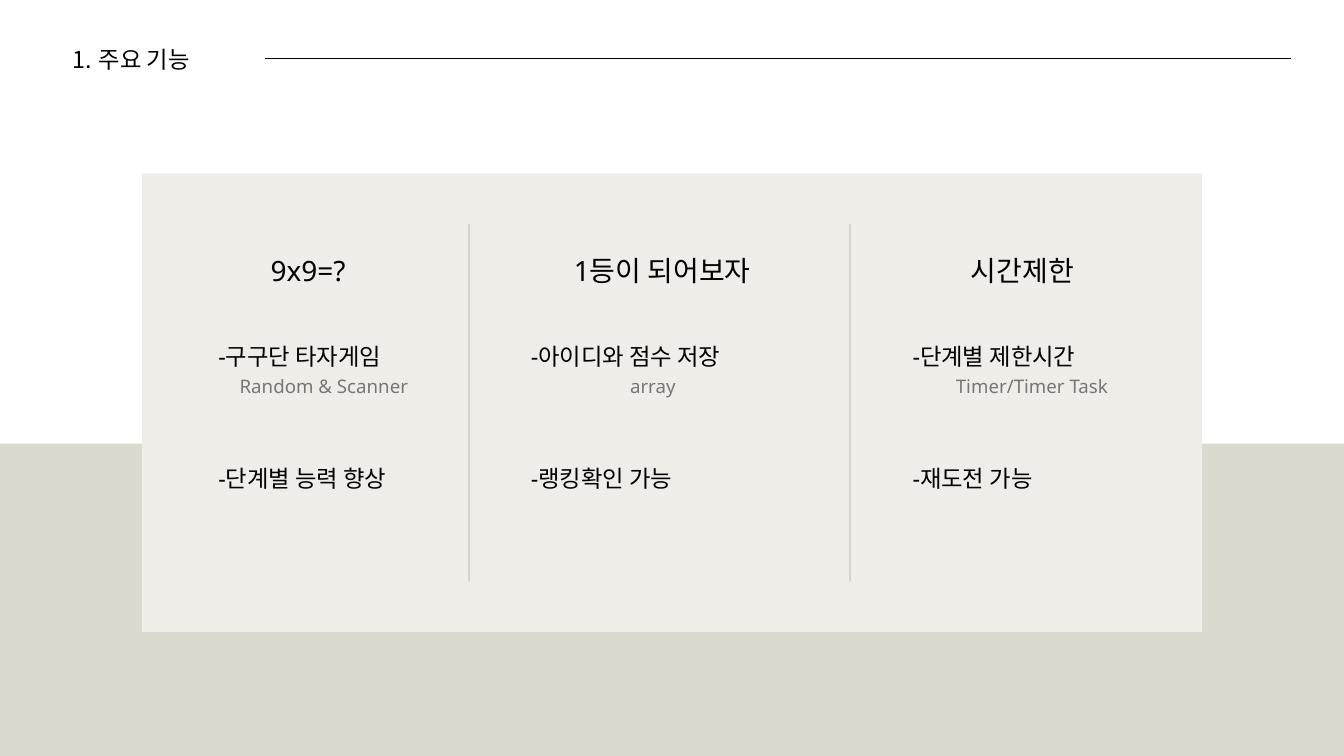
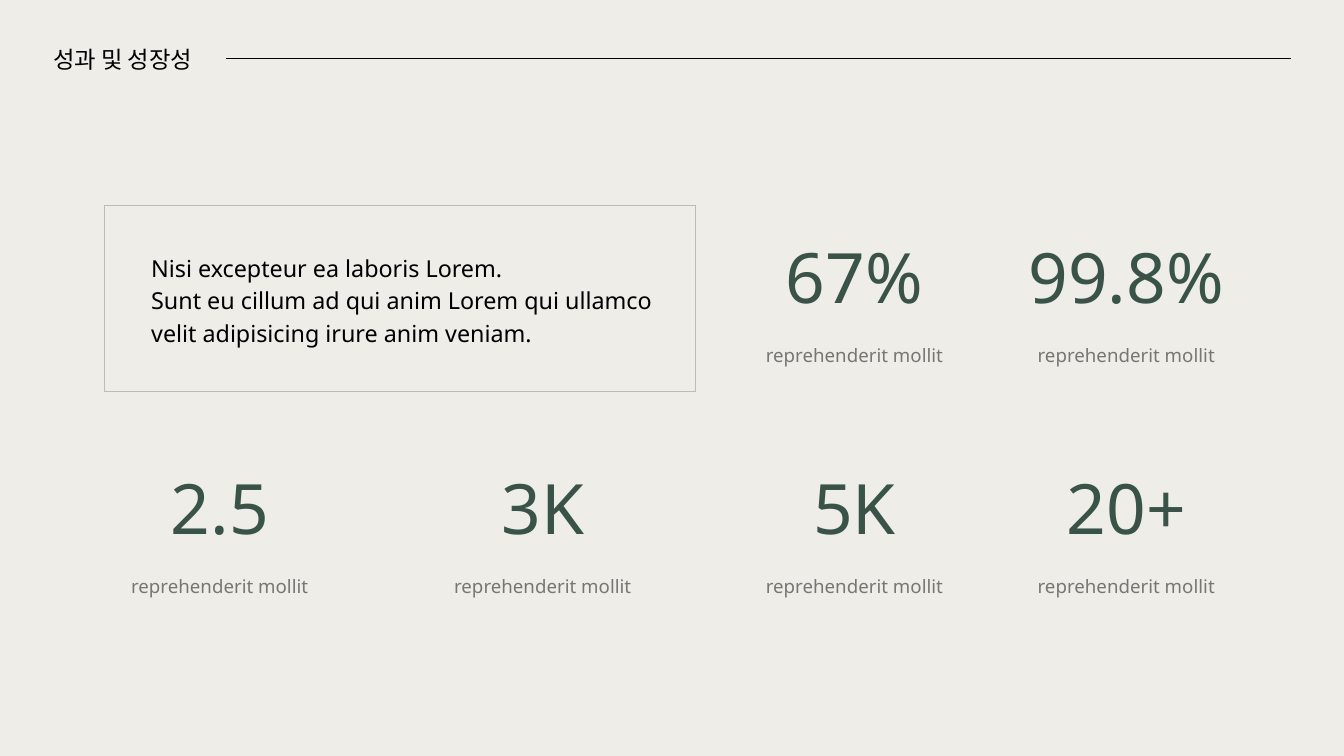
from lxml import etree
from pptx import Presentation
from pptx.dml.color import RGBColor
from pptx.enum import shapes, text
from pptx.oxml.ns import qn
from pptx.util import Pt

FONT = "Noto Sans"
BLACK = RGBColor(0, 0, 0)
WHITE = RGBColor(0xFF, 0xFF, 0xFF)
CREAM = RGBColor(0xEE, 0xED, 0xE8)
SAND = RGBColor(0xDA, 0xD9, 0xCE)
GREEN = RGBColor(0x3A, 0x53, 0x48)
FRAME_GREY = RGBColor(0xBB, 0xBB, 0xBB)
LEFT, CENTER = text.PP_ALIGN.LEFT, text.PP_ALIGN.CENTER

WIDTH, HEIGHT = 1440, 810
TITLE_LEFT, TITLE_TOP = 56.9, 43.9
RULE_RIGHT, RULE_Y = 1383.1, 62.6

FEATURES_TITLE = "주요 기능"
FEATURES = [
    {"heading": "9x9=?", "heading_left": 209.5, "left": 234, "width": 226, "tool_width": 226,
     "items": ["-구구단 타자게임", "-단계별 능력 향상"], "tool": "Random & Scanner"},
    {"heading": "1등이 되어보자", "heading_left": 589, "left": 568.8, "width": 301, "tool_width": 261.4,
     "items": ["-아이디와 점수 저장", "-랭킹확인 가능"], "tool": "array"},
    {"heading": "시간제한", "heading_left": 974.9, "left": 977.8, "width": 255.6, "tool_width": 255.6,
     "items": ["-단계별 제한시간", "-재도전 가능"], "tool": "Timer/Timer Task"},
]
DIVIDERS = [502.6, 910.8]
DIVIDER_TOP, DIVIDER_BOTTOM = 239.8, 622.8
HEADING_TOP, HEADING_WIDTH = 265.7, 241.2
ITEM_TOP, ITEM_STEP, TOOL_DROP = 361.4, 130.4, 36

GROWTH_TITLE = "성과 및 성장성"
SUMMARY = [
    "Nisi excepteur ea laboris Lorem.",
    "Sunt eu cillum ad qui anim Lorem qui ullamco",
    "velit adipisicing irure anim veniam.",
]
STAT_LABEL = "reprehenderit mollit"
STAT_ROWS = [(235.4, [None, None, "67%", "99.8%"]), (483.1, ["2.5", "3K", "5K", "20+"])]
STAT_CENTERS = [235.4, 581.5, 915.5, 1206.7]
STAT_WIDTH, LABEL_WIDTH, LABEL_DROP = 247, 223.2, 128.9


def fade(element, percent):
    for color in element.iter(qn("a:srgbClr")):
        etree.SubElement(color, qn("a:alpha")).set("val", str(percent * 1000))


def add_text(page, lines, left, top, width, size=25, color=BLACK, align=LEFT,
             opacity=100, numbered=False):
    spacing = round(size * 1.4, 1)
    box = page.shapes.add_textbox(Pt(left), Pt(top), Pt(width), Pt(size * 1.34 * len(lines)))
    frame = box.text_frame
    frame.margin_left = frame.margin_right = frame.margin_top = frame.margin_bottom = 0
    frame.word_wrap = True
    frame.auto_size = text.MSO_AUTO_SIZE.SHAPE_TO_FIT_TEXT
    for index, line in enumerate(lines):
        para = frame.add_paragraph() if index else frame.paragraphs[0]
        para.text = line
        para.alignment = align
        para.line_spacing = Pt(spacing)
        if numbered:
            props = para._p.get_or_add_pPr()
            props.set("marL", str(Pt(49)))
            props.set("indent", str(Pt(-28)))
            etree.SubElement(props, qn("a:buFont")).set("typeface", "+mj-lt")
            etree.SubElement(props, qn("a:buAutoNum")).set("type", "arabicPeriod")
        para.font.name = FONT
        para.font.size = Pt(size)
        para.font.color.rgb = color
        if opacity < 100:
            fade(para._p, opacity)


def add_caption(page, caption, left, top, width):
    add_text(page, [caption], left, top, width, size=20, align=CENTER, opacity=50)


def add_block(page, left, top, width, height, fill=None, line=None):
    block = page.shapes.add_shape(
        shapes.MSO_SHAPE.RECTANGLE, Pt(left), Pt(top), Pt(width), Pt(height))
    block.shadow.inherit = False
    if fill is None:
        block.fill.background()
    else:
        block.fill.solid()
        block.fill.fore_color.rgb = fill
    if line is None:
        block.line.fill.background()
    else:
        block.line.color.rgb = line
        block.line.width = Pt(0.75)


def add_line(page, x1, y1, x2, y2, opacity=100):
    line = page.shapes.add_connector(
        shapes.MSO_CONNECTOR.STRAIGHT, Pt(x1), Pt(y1), Pt(x2), Pt(y2))
    line.line.color.rgb = BLACK
    line.line.width = Pt(0.75)
    if opacity < 100:
        fade(line._element, opacity)
    etree.SubElement(line._element.spPr, qn("a:effectLst"))


def add_page(deck, background, title, rule_left, numbered=False):
    page = deck.slides.add_slide(deck.slide_layouts[6])
    page.background.fill.solid()
    page.background.fill.fore_color.rgb = background
    add_text(page, [title], TITLE_LEFT, TITLE_TOP, 226.8, numbered=numbered)
    add_line(page, rule_left, RULE_Y, RULE_RIGHT, RULE_Y)
    return page


def build_features(deck):
    page = add_page(deck, WHITE, FEATURES_TITLE, 284.4, numbered=True)
    add_block(page, 0, 475.2, WIDTH, HEIGHT - 475.2, fill=SAND)
    add_block(page, 152, 186, 1136, 491, fill=CREAM)
    for x in DIVIDERS:
        add_line(page, x, DIVIDER_TOP, x, DIVIDER_BOTTOM, opacity=30)
    for feature in FEATURES:
        add_text(page, [feature["heading"]], feature["heading_left"], HEADING_TOP,
                 HEADING_WIDTH, size=30, align=CENTER)
        for row, item in enumerate(feature["items"]):
            add_text(page, [item], feature["left"], ITEM_TOP + row * ITEM_STEP, feature["width"])
        add_caption(page, feature["tool"], feature["left"], ITEM_TOP + TOOL_DROP,
                    feature["tool_width"])


def build_growth(deck):
    page = add_page(deck, CREAM, GROWTH_TITLE, 241.9)
    add_block(page, 112, 219.8, 632.8, 200, line=FRAME_GREY)
    add_text(page, SUMMARY, 162, 267.1, 547.2)
    for top, values in STAT_ROWS:
        for center, value in zip(STAT_CENTERS, values):
            if value:
                add_text(page, [value], center - STAT_WIDTH / 2, top, STAT_WIDTH,
                         size=74.4, color=GREEN, align=CENTER)
                add_caption(page, STAT_LABEL, center - LABEL_WIDTH / 2, top + LABEL_DROP,
                            LABEL_WIDTH)


def main():
    deck = Presentation()
    deck.slide_width, deck.slide_height = Pt(WIDTH), Pt(HEIGHT)
    build_features(deck)
    build_growth(deck)
    deck.save("out.pptx")


if __name__ == "__main__":
    main()
